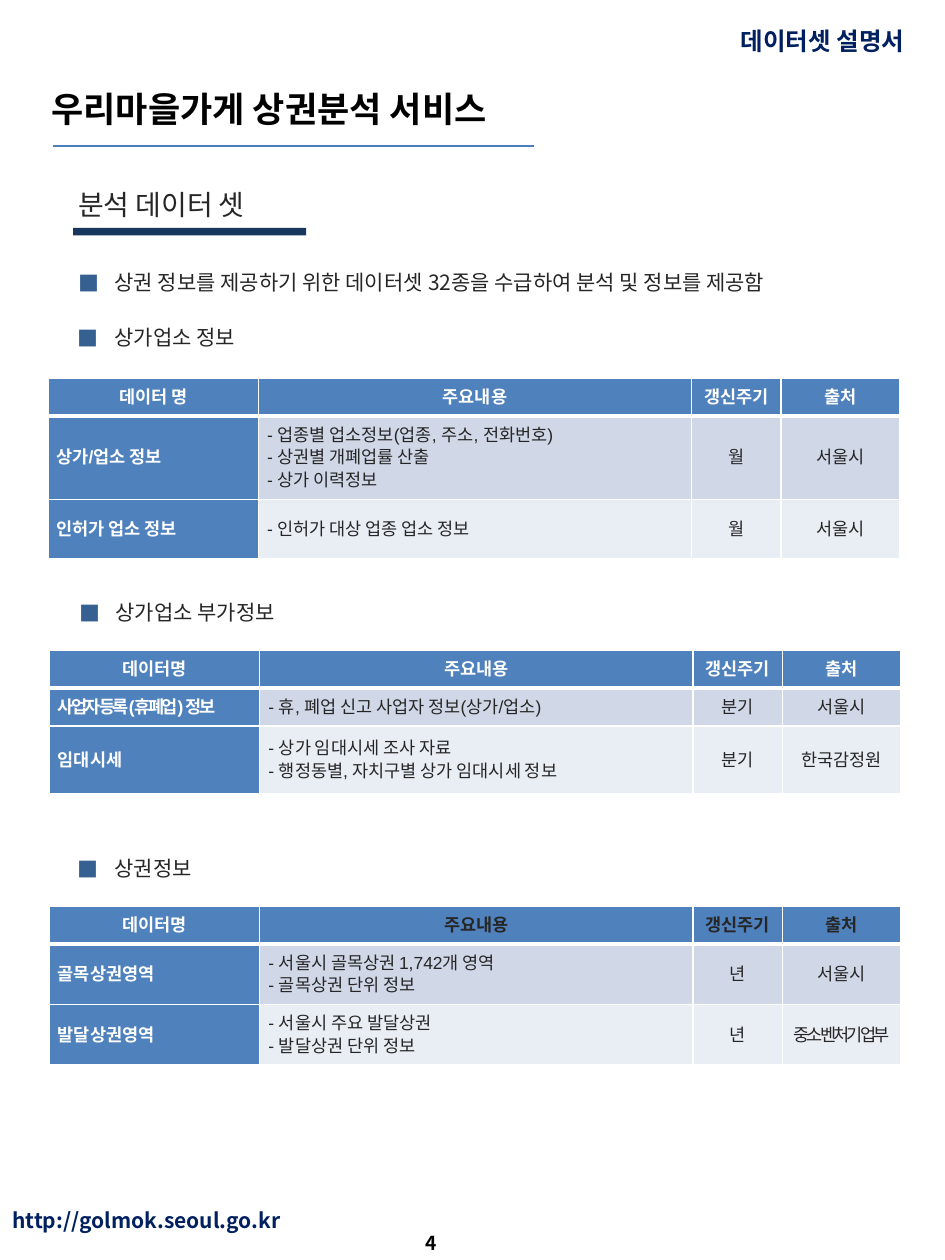
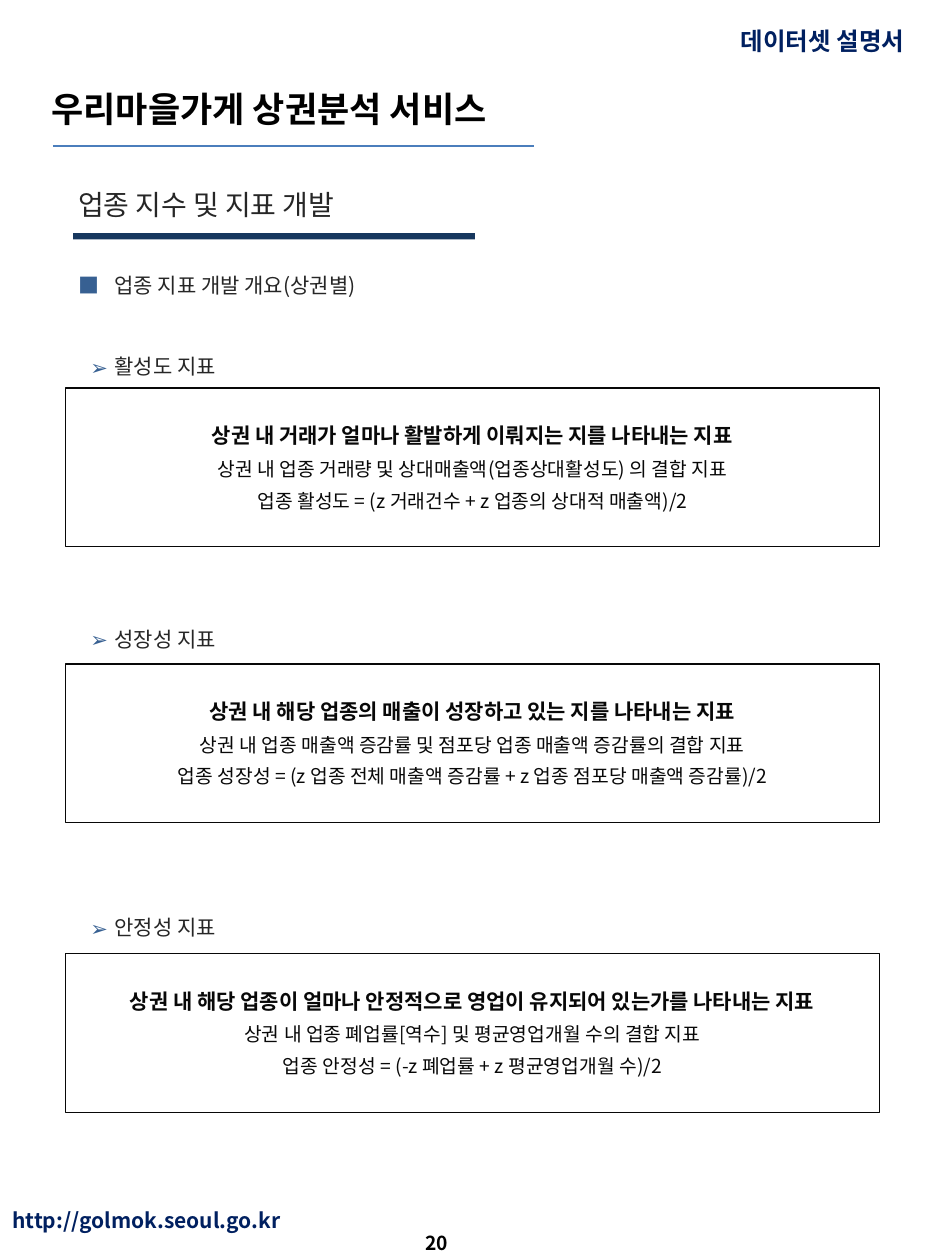
from dataclasses import dataclass
from typing import NamedTuple

from lxml.etree import SubElement
from pptx import Presentation
from pptx.dml.color import RGBColor
from pptx.enum.shapes import MSO_CONNECTOR, MSO_SHAPE
from pptx.enum.text import MSO_ANCHOR, MSO_AUTO_SIZE, PP_ALIGN
from pptx.oxml.ns import qn
from pptx.util import Inches, Pt


@dataclass(frozen=True)
class Theme:
    font: str = "Noto Sans CJK KR"
    table_font: str = "Arial"
    black: str = "000000"
    white: str = "FFFFFF"
    text: str = "262626"
    box_ink: str = "080808"
    navy: str = "002060"
    rule: str = "4B7EBC"
    bar: str = "17375E"
    bullet: str = "376092"
    header: str = "4F81BD"
    bands: tuple[str, str] = ("D0D8E8", "E9EDF4")
    service_size: float = 20
    section_size: float = 16
    label_size: float = 14
    body_size: float = 12
    small_size: float = 11
    table_size: float = 10


class Box(NamedTuple):
    left: float
    top: float
    width: float
    height: float


class Bullet(NamedTuple):
    mark: str
    hang: float


class Section(NamedTuple):
    title: str
    bar: Box
    page: str
    lead: str
    lead_top: float


class DataTable(NamedTuple):
    left: float
    top: float
    heights: list[float]
    rows: list[list[str]]
    header_ink: str


class Indicator(NamedTuple):
    name: str
    name_top: float
    box_top: float
    lines: list[str]


T = Theme()
SQUARE = Bullet("■", 0.29)
ARROW = Bullet("➢", 0.19)
COLUMNS = [1.67, 3.44, 0.71, 0.94]
TIGHT = {"사업자 등록(휴폐업) 정보", "중소벤처기업부"}
HEADINGS = ["주요내용", "갱신주기", "출처"]

DATASETS = Section("분석 데이터 셋", Box(0.58, 1.81, 1.85, 0.06), "4",
                   "상권 정보를 제공하기 위한 데이터셋 32종을 수급하여 분석 및 정보를 제공함", 1.99)
INDICES = Section("업종 지수 및 지표 개발", Box(0.58, 1.85, 3.19, 0.05), "20",
                  "업종 지표 개발 개요(상권별)", 2.01)

TABLE_LABELS = [("상가업소 정보", 0.52, 2.43), ("상가업소 부가정보", 0.53, 4.61),
                ("상권정보", 0.52, 6.64)]
TABLES = [
    DataTable(0.38, 3.0, [0.3, 0.66, 0.47], [
        ["데이터 명", *HEADINGS],
        ["상가/업소 정보",
         "- 업종별 업소정보(업종, 주소, 전화번호)\n- 상권별 개폐업률 산출\n- 상가 이력정보",
         "월", "서울시"],
        ["인허가 업소 정보", "- 인허가 대상 업종 업소 정보", "월", "서울시"],
    ], T.white),
    DataTable(0.39, 5.16, [0.3, 0.3, 0.54], [
        ["데이터명", *HEADINGS],
        ["사업자 등록(휴폐업) 정보", "- 휴, 폐업 신고 사업자 정보(상가/업소)", "분기", "서울시"],
        ["임대시세", "- 상가 임대시세 조사 자료\n- 행정동별, 자치구별 상가 임대시세 정보",
         "분기", "한국감정원"],
    ], T.white),
    DataTable(0.39, 7.19, [0.3, 0.48, 0.48], [
        ["데이터명", *HEADINGS],
        ["골목상권영역", "- 서울시 골목상권 1,742개 영역\n- 골목상권 단위 정보", "년", "서울시"],
        ["발달상권영역", "- 서울시 주요 발달상권\n- 발달상권 단위 정보", "년", "중소벤처기업부"],
    ], T.text),
]
INDICATORS = [
    Indicator("활성도 지표", 2.66, 3.08, [
        "상권 내 거래가 얼마나 활발하게 이뤄지는 지를 나타내는 지표",
        "상권 내 업종 거래량 및 상대매출액(업종상대활성도) 의 결합 지표",
        "업종 활성도 = (z 거래건수 + z 업종의 상대적 매출액)/2"]),
    Indicator("성장성 지표", 4.82, 5.27, [
        "상권 내 해당 업종의 매출이 성장하고 있는 지를 나타내는 지표",
        "상권 내 업종 매출액 증감률 및 점포당 업종 매출액 증감률의 결합 지표",
        "업종 성장성 = (z 업종 전체 매출액 증감률 + z 업종 점포당 매출액 증감률)/2"]),
    Indicator("안정성 지표", 7.11, 7.57, [
        "상권 내 해당 업종이 얼마나 안정적으로 영업이 유지되어 있는가를 나타내는 지표",
        "상권 내 업종 폐업률[역수] 및 평균영업개월 수의 결합 지표",
        "업종 안정성 = (-z 폐업률 + z 평균영업개월 수)/2"]),
]


def rgb(color: str) -> RGBColor:
    return RGBColor.from_string(color)


def inches(box: Box) -> list[Inches]:
    return [Inches(v) for v in box]


def write(p, text: str, *, size: float = T.body_size, color: str = T.text, bold: bool = False,
          font: str = T.font, align=PP_ALIGN.LEFT, line=None, before: float = 0,
          after: float = 0, tracking: float = 0, bullet: Bullet | None = None) -> None:
    p.alignment = align
    p.space_before, p.space_after = Pt(before), Pt(after)
    if line is not None:
        p.line_spacing = line
    if bullet:
        pPr = p._p.get_or_add_pPr()
        pPr.set("marL", str(Inches(0.29)))
        pPr.set("indent", str(-Inches(bullet.hang)))
        SubElement(SubElement(pPr, qn("a:buClr")), qn("a:srgbClr")).set("val", T.bullet)
        SubElement(pPr, qn("a:buFont")).set("typeface", T.font)
        SubElement(pPr, qn("a:buChar")).set("char", bullet.mark)
    r = p.add_run()
    r.text = text
    r.font.size, r.font.bold, r.font.name = Pt(size), bold, font
    r.font.color.rgb = rgb(color)
    rPr = r.font._element
    SubElement(rPr, qn("a:ea")).set("typeface", T.font)
    if tracking:
        rPr.set("spc", str(int(tracking * 100)))


def set_frame(sp, *, wrap: bool = True, grow: bool = True, anchor=MSO_ANCHOR.TOP):
    tf = sp.text_frame
    tf.word_wrap = wrap
    tf.auto_size = MSO_AUTO_SIZE.SHAPE_TO_FIT_TEXT if grow else MSO_AUTO_SIZE.NONE
    tf.vertical_anchor = anchor
    return tf.paragraphs[0]


def add_label(s, box: Box, text: str, *, grow: bool = False, **fmt) -> None:
    sp = s.shapes.add_textbox(*inches(box))
    anchor = MSO_ANCHOR.TOP if grow else MSO_ANCHOR.MIDDLE
    write(set_frame(sp, wrap=False, grow=grow, anchor=anchor), text, bold=True, **fmt)


def fill_placeholder(sp, box: Box, text: str, **fmt) -> None:
    sp.left, sp.top, sp.width, sp.height = inches(box)
    write(set_frame(sp), text, **fmt)


def add_bullet(s, left: float, top: float, text: str, bullet: Bullet) -> None:
    sp = s.shapes.add_textbox(*inches(Box(left, top, 6.37, 0.36)))
    write(set_frame(sp), text, line=1.5, after=6, bullet=bullet)


def add_rect(s, box: Box, fill: str, line: str | None = None):
    sp = s.shapes.add_shape(MSO_SHAPE.RECTANGLE, *inches(box))
    sp.shadow.inherit = False
    sp.fill.solid()
    sp.fill.fore_color.rgb = rgb(fill)
    if line:
        sp.line.color.rgb = rgb(line)
        sp.line.width = Pt(0.75)
    else:
        sp.line.fill.background()
    return sp


def add_section_slide(prs, section: Section):
    s = prs.slides.add_slide(prs.slide_layouts[1])
    add_label(s, Box(0.31, 0.46, 5.04, 0.8), "우리마을가게 상권분석 서비스",
              size=T.service_size, color=T.black)
    add_label(s, Box(0, 9.37, 1.84, 0.63), "http://golmok.seoul.go.kr", color=T.navy)
    rule = s.shapes.add_connector(MSO_CONNECTOR.STRAIGHT, Inches(0.42), Inches(1.16),
                                  Inches(4.24), Inches(1.16))
    rule.line.color.rgb = rgb(T.rule)
    rule.line.width = Pt(0.75)
    SubElement(rule._element.spPr, qn("a:effectLst"))
    add_label(s, Box(5.78, 0.16, 1.64, 0.34), "데이터셋 설명서", grow=True,
              size=T.label_size, color=T.navy)
    add_label(s, Box(3.28, 9.72, 1, 0.28), section.page, size=T.small_size, color=T.black)
    fill_placeholder(s.shapes.title, Box(0.52, 1.44, 6.13, 0.37), section.title,
                     size=T.section_size)
    add_rect(s, section.bar, T.bar)
    fill_placeholder(s.placeholders[1], Box(0.52, section.lead_top, 6.37, 0.36), section.lead,
                     line=1.5, after=6, bullet=SQUARE)
    return s


def set_borders(cell, top: float, bottom: float) -> None:
    tcPr = cell._tc.get_or_add_tcPr()
    for side, width in (("L", 1), ("R", 1), ("T", top), ("B", bottom)):
        ln = SubElement(tcPr, qn(f"a:ln{side}"))
        ln.set("w", str(Pt(width)))
        SubElement(SubElement(ln, qn("a:solidFill")), qn("a:srgbClr")).set("val", T.white)


def add_data_table(s, data: DataTable) -> None:
    box = Box(data.left, data.top, sum(COLUMNS), sum(data.heights))
    table = s.shapes.add_table(len(data.rows), len(COLUMNS), *inches(box)).table
    table.first_col = True
    for column, width in zip(table.columns, COLUMNS):
        column.width = Inches(width)
    for i, (height, row) in enumerate(zip(data.heights, data.rows)):
        table.rows[i].height = Inches(height)
        for j, text in enumerate(row):
            cell = table.cell(i, j)
            heading = i == 0 or j == 0
            set_borders(cell, 3 if i == 1 else 1, 3 if i == 0 else 1)
            cell.fill.solid()
            cell.fill.fore_color.rgb = rgb(T.header if heading else T.bands[(i - 1) % 2])
            cell.vertical_anchor = MSO_ANCHOR.MIDDLE
            cell.margin_left = cell.margin_right = Inches(0.07 if j < 2 else 0)
            cell.margin_top = cell.margin_bottom = Inches(0.06)
            ink = T.white if j == 0 else data.header_ink if i == 0 else T.text
            tf = cell.text_frame
            for k, line in enumerate(text.split("\n")):
                write(tf.add_paragraph() if k else tf.paragraphs[0], line,
                      size=T.table_size, font=T.table_font, color=ink, bold=heading,
                      align=PP_ALIGN.CENTER if i == 0 or j > 1 else PP_ALIGN.LEFT,
                      line=Pt(13), tracking=-1.5 if text in TIGHT else 0)


def add_indicator(s, item: Indicator) -> None:
    add_bullet(s, 0.52, item.name_top, item.name, ARROW)
    sp = add_rect(s, Box(0.52, item.box_top, 6.46, 1.26), T.white, T.box_ink)
    first = set_frame(sp, grow=False, anchor=MSO_ANCHOR.MIDDLE)
    for k, line in enumerate(item.lines):
        write(sp.text_frame.add_paragraph() if k else first, line,
              size=T.small_size if k else T.body_size, color=T.box_ink, bold=k == 0,
              align=PP_ALIGN.CENTER, before=3 if k else 0, after=2)


def main() -> None:
    prs = Presentation()
    prs.slide_width, prs.slide_height = Inches(7.5), Inches(10)
    s = add_section_slide(prs, DATASETS)
    for (label, left, top), data in zip(TABLE_LABELS, TABLES):
        add_bullet(s, left, top, label, SQUARE)
        add_data_table(s, data)
    s = add_section_slide(prs, INDICES)
    for item in INDICATORS:
        add_indicator(s, item)
    prs.save("out.pptx")


if __name__ == "__main__":
    main()
